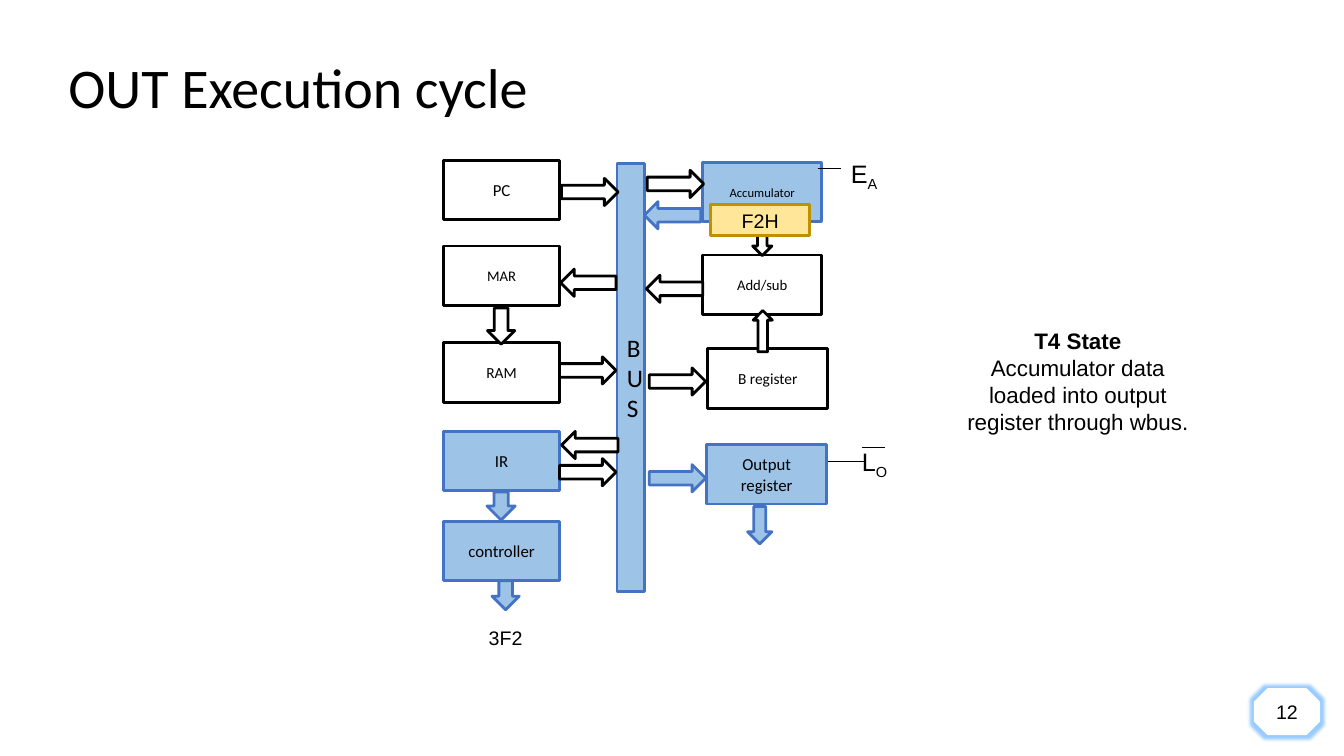
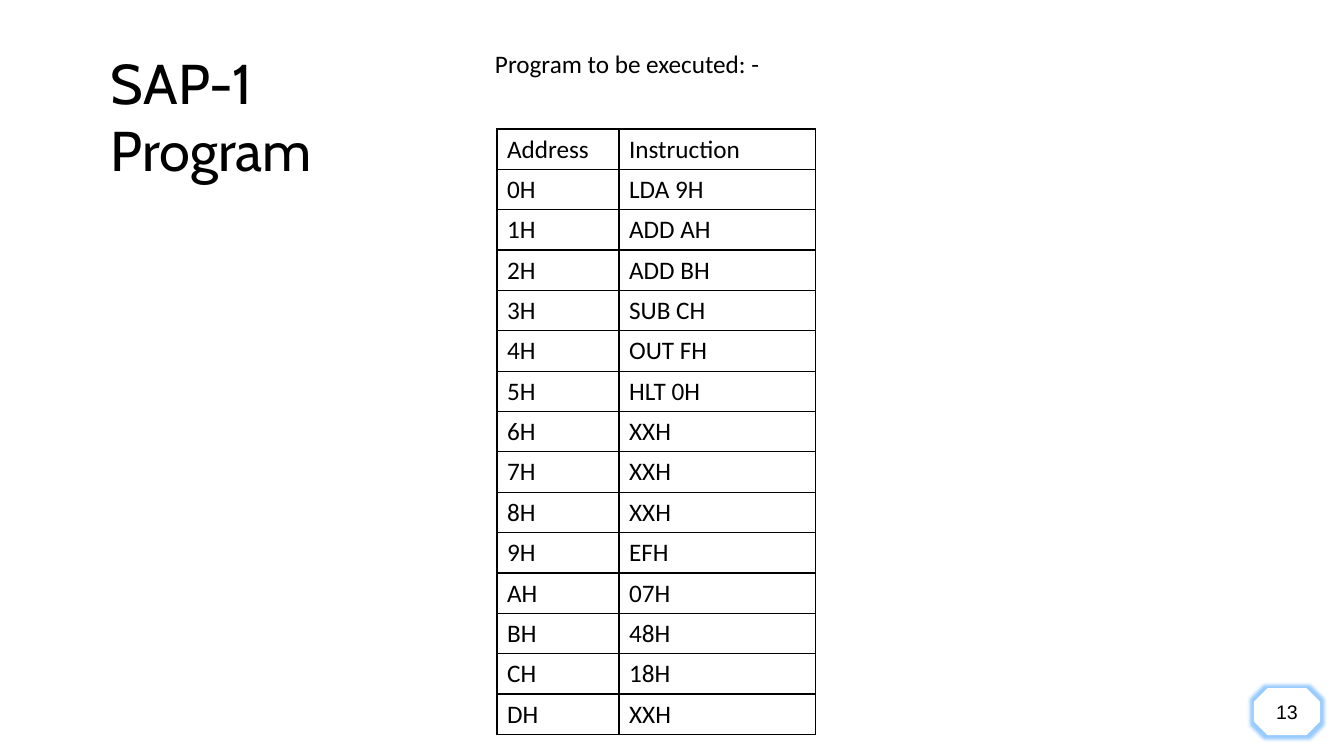
"""Builds two slides on the SAP-1 computer: the OUT execution cycle and a sample program."""
from lxml import etree
from pptx import Presentation
from pptx.dml.color import RGBColor
from pptx.enum.shapes import MSO_CONNECTOR, MSO_SHAPE
from pptx.enum.text import MSO_ANCHOR, PP_ALIGN
from pptx.oxml import parse_xml
from pptx.util import Inches, Pt

RECT, ARROW, OCTAGON = MSO_SHAPE.RECTANGLE, MSO_SHAPE.RIGHT_ARROW, MSO_SHAPE.OCTAGON
LINE = MSO_CONNECTOR.STRAIGHT
TOP, MIDDLE = MSO_ANCHOR.TOP, MSO_ANCHOR.MIDDLE
LEFT, CENTER = PP_ALIGN.LEFT, PP_ALIGN.CENTER

BLACK = RGBColor(0x00, 0x00, 0x00)
WHITE = RGBColor(0xFF, 0xFF, 0xFF)
BLUE = RGBColor(0x9D, 0xC3, 0xE6)
NAVY = RGBColor(0x44, 0x72, 0xC4)
GOLD = RGBColor(0xFF, 0xE6, 0x99)
BROWN = RGBColor(0xBF, 0x90, 0x00)

IDLE, LIVE, BARE, DATA = (WHITE, BLACK), (BLUE, NAVY), (WHITE, WHITE), (GOLD, BROWN)
TITLE = {"name": "Calibri", "size": Pt(40)}
CABIN = {"name": "Cabin", "size": Pt(40)}
BODY = {"name": "Calibri", "size": Pt(18)}
SIGNAL = {"name": "Arial", "size": Pt(18)}
NOTE = {"name": "Arial", "size": Pt(16)}
VALUE = {"name": "Arial", "size": Pt(14)}
NS = "http://schemas.openxmlformats.org/drawingml/2006/main"


def write(frame, rows, look, align=LEFT):
    """Fill a text frame with one paragraph per row, each a list of runs."""
    frame.word_wrap = True
    for i, row in enumerate(rows):
        para = frame.paragraphs[0] if i == 0 else frame.add_paragraph()
        para.alignment = align
        for text in row:
            run = para.add_run()
            run.text = text
            run.font.color.rgb = BLACK
            for key, val in look.items():
                setattr(run.font, key, val)


def draw(slide, kind, at, tone, rows=(), look=VALUE):
    """Add a filled, outlined shape with centred text."""
    shape = slide.shapes.add_shape(kind, *map(Inches, at))
    shape.shadow.inherit = False
    shape.fill.solid()
    shape.fill.fore_color.rgb, shape.line.color.rgb = tone
    shape.line.width = Pt(2)
    shape.text_frame.vertical_anchor = MIDDLE
    write(shape.text_frame, rows, look, CENTER)
    return shape


deck = Presentation()
deck.slide_width, deck.slide_height = Inches(13.33), Inches(7.5)
cycle, program = [deck.slides.add_slide(deck.slide_layouts[6]) for _ in range(2)]

labels = [
    (cycle, (0.58, 0.46, 11.52, 0.87), ["OUT Execution cycle"], TITLE, MIDDLE, 0.1, 0.9),
    (cycle, (8.34, 1.52, 0.52, 0.29), ["E", "A"], SIGNAL, TOP, 0.1, 1.0),
    (cycle, (8.45, 4.38, 0.52, 0.4), ["L", "O"], SIGNAL, TOP, 0.1, 1.0),
    (program, (1.1, 0.48, 2.92, 1.18), ["SAP-1 Program"], CABIN, TOP, 0, 1.0),
    (program, (4.91, 0.48, 2.66, 0.61), ["Program to be executed: -"], BODY, TOP, 0, 1.0),
]
for slide, at, runs, look, anchor, inset, space in labels:
    frame = slide.shapes.add_textbox(*map(Inches, at)).text_frame
    write(frame, [runs], look)
    layout = {"vertical_anchor": anchor, "margin_left": Inches(inset), "margin_right": Inches(inset),
              "margin_top": Inches(inset / 2), "margin_bottom": Inches(inset / 2)}
    for key, val in layout.items():
        setattr(frame, key, val)
    para = frame.paragraphs[0]
    para.line_spacing = space
    for run in para.runs[1:]:
        run.font._element.set("baseline", "-25000")

blocks = [
    ("PC", 4.4, 1.59, 1.15, IDLE, 12),
    ("MAR", 4.4, 2.44, 1.15, IDLE, 10.5),
    ("RAM", 4.4, 3.4, 1.15, IDLE, 11),
    ("IR", 4.4, 4.28, 1.15, LIVE, 12),
    ("controller", 4.4, 5.17, 1.15, LIVE, 12),
    ("Accumulator", 6.97, 1.61, 1.18, LIVE, 9),
    ("Add/sub", 6.97, 2.53, 1.18, IDLE, 10.5),
    ("B register", 7.02, 3.46, 1.19, IDLE, 11),
    ("Output register", 7.01, 4.41, 1.19, LIVE, 12),
]
for text, x, y, wide, tone, size in blocks:
    draw(cycle, RECT, (x, y, wide, 0.59), tone, [[text]], {"name": "Calibri", "size": Pt(size)})
draw(cycle, RECT, (6.12, 1.62, 0.27, 4.25), LIVE, [["BUS"]], BODY)

arrows = [
    (5.57, 1.77, 0.56, 0.27, 0, IDLE),
    (5.56, 2.67, 0.55, 0.27, 180, IDLE),
    (4.79, 3.1, 0.36, 0.27, 90, IDLE),
    (5.55, 3.54, 0.56, 0.27, 0, IDLE),
    (5.57, 4.28, 0.56, 0.27, 180, IDLE),
    (5.55, 4.55, 0.56, 0.27, 0, IDLE),
    (4.83, 4.88, 0.28, 0.28, 90, LIVE),
    (4.87, 5.77, 0.29, 0.27, 90, LIVE),
    (6.42, 1.69, 0.56, 0.27, 0, IDLE),
    (6.39, 2.0, 0.56, 0.27, 180, LIVE),
    (7.4, 2.28, 0.32, 0.19, 90, IDLE),
    (6.41, 2.73, 0.56, 0.27, 180, IDLE),
    (7.36, 3.19, 0.41, 0.19, 270, IDLE),
    (6.44, 3.65, 0.56, 0.27, 0, IDLE),
    (6.44, 4.61, 0.56, 0.27, 0, LIVE),
    (7.35, 5.09, 0.37, 0.24, 90, LIVE),
]
for *at, turn, tone in arrows:
    draw(cycle, ARROW, at, tone).rotation = turn

for left, right, y in [(8.11, 8.34, 1.67), (8.21, 8.58, 4.58), (8.55, 8.78, 4.44)]:
    wire = cycle.shapes.add_connector(LINE, Inches(left), Inches(y), Inches(right), Inches(y))
    wire.line.color.rgb = BLACK
    wire.line.width = Pt(0.75)
    etree.SubElement(wire._element.spPr, f"{{{NS}}}effectLst")

draw(cycle, RECT, (4.49, 6.15, 1.05, 0.36), BARE, [["3F2"]])
draw(cycle, RECT, (7.05, 2.03, 0.98, 0.31), DATA, [["F2H"]])
state = [["T4 State"], ["Accumulator data loaded into output register through wbus."]]
note = draw(cycle, RECT, (9.43, 2.39, 2.52, 2.78), BARE, state, NOTE)
note.text_frame.paragraphs[0].runs[0].font.bold = True

codes = ["LDA 9H", "ADD AH", "ADD BH", "SUB CH", "OUT FH", "HLT 0H", "XXH",
         "XXH", "XXH", "EFH", "07H", "48H", "18H", "XXH"]
rows = [("Address", "Instruction")] + [(f"{i:X}H", code) for i, code in enumerate(codes)]
grid = program.shapes.add_table(len(rows), 2, Inches(4.93), Inches(1.28),
                                Inches(3.16), Inches(0.4 * len(rows))).table
grid.first_row = grid.horz_banding = False
for col, wide in zip(grid.columns, (1.21, 1.95)):
    col.width = Inches(wide)
for r, row in enumerate(rows):
    grid.rows[r].height = Inches(0.4)
    for c, text in enumerate(row):
        cell = grid.cell(r, c)
        cell.fill.background()
        write(cell.text_frame, [[text]], BODY)
        props = cell._tc.get_or_add_tcPr()
        for i, side in enumerate("LRTB"):
            props.insert(i, parse_xml(
                f'<a:ln{side} xmlns:a="{NS}" w="{Pt(0.96)}"><a:solidFill>'
                f'<a:srgbClr val="{BLACK}"/></a:solidFill></a:ln{side}>'))

for page, slide in enumerate((cycle, program), 12):
    badge = draw(slide, OCTAGON, (12.45, 6.84, 0.63, 0.44), BARE, [[str(page)]])
    glow = parse_xml(f'<a:glow xmlns:a="{NS}" rad="{Pt(5)}"><a:srgbClr val="99CCFF"/></a:glow>')
    badge._element.spPr.find(f"{{{NS}}}effectLst").append(glow)
    badge.text_frame.word_wrap = False

deck.save("out.pptx")
